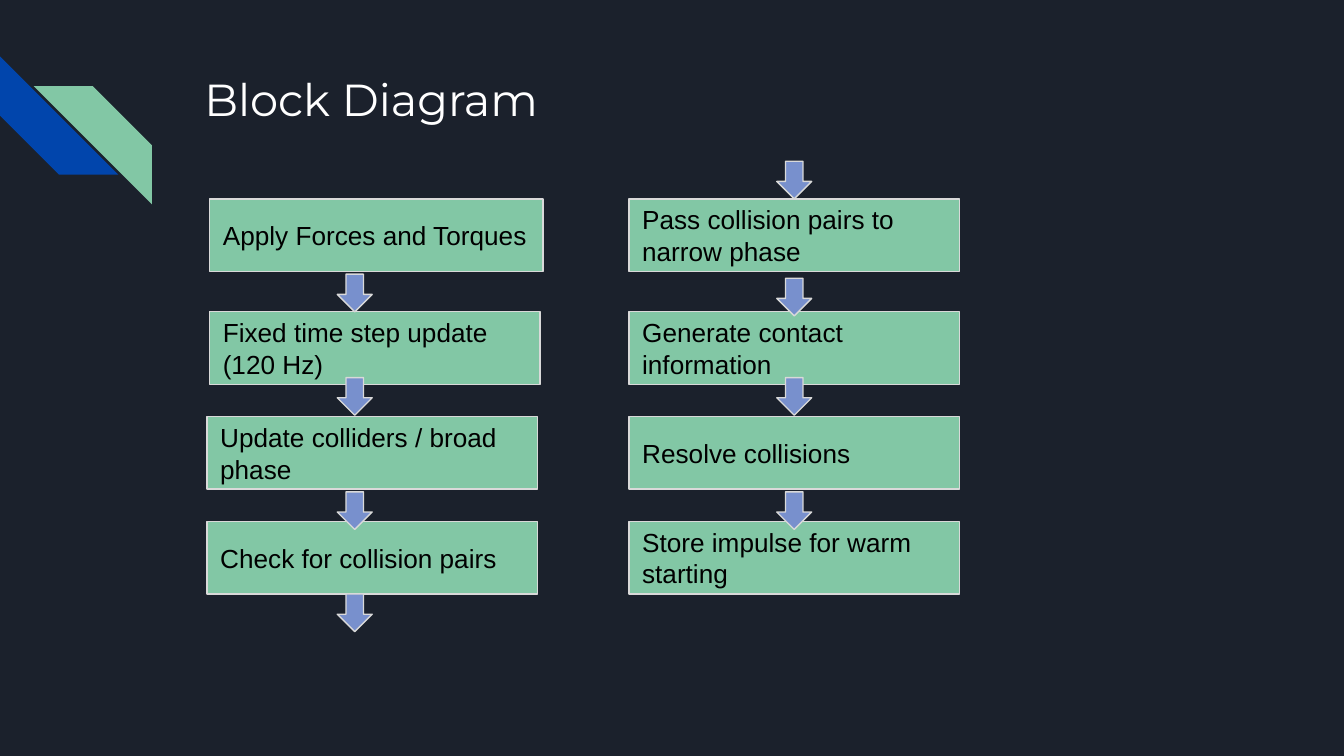
from pptx import Presentation
from pptx.dml.color import RGBColor
from pptx.enum.shapes import MSO_SHAPE as Shape
from pptx.enum.text import MSO_ANCHOR as Anchor, PP_ALIGN as Align
from pptx.util import Inches, Pt

GREEN, BLUE, ARROW_BLUE = "82C7A5", "0145AC", "7890CD"
BORDER, BACKGROUND = "D9D9D9", "1B212C"
ROW_TOPS = [1.48, 2.32, 3.10, 3.88]
STEP_WIDTH, STEP_HEIGHT = 2.46, 0.54
ARROW_WIDTH, ARROW_HEIGHT = 0.26, 0.28


def color(hex_text):
    return RGBColor.from_string(hex_text)


def format_text(frame, font_name, size, hex_text, anchor):
    frame.word_wrap = True
    frame.vertical_anchor = anchor
    frame.margin_left = frame.margin_right = Inches(0.1)
    frame.margin_top = frame.margin_bottom = Inches(0.1)
    for para in frame.paragraphs:
        para.alignment = Align.LEFT
        for span in para.runs:
            span.font.name = font_name
            span.font.size = Pt(size)
            span.font.color.rgb = color(hex_text)


def add_block(page, kind, left, top, width, height, fill, border=None):
    block = page.shapes.add_shape(
        kind, Inches(left), Inches(top), Inches(width), Inches(height))
    block.shadow.inherit = False
    block.fill.solid()
    block.fill.fore_color.rgb = color(fill)
    if border:
        block.line.color.rgb = color(border)
        block.line.width = Pt(0.75)
    else:
        block.line.fill.background()
    return block


def add_corner_stripes(page, left, top, size):
    for dx, dy, turn, fill in [(0, 0, 270, BLUE), (0.25, 0.22, 90, GREEN)]:
        stripe = add_block(page, Shape.DIAGONAL_STRIPE,
                           left + dx, top + dy, size, size, fill)
        stripe.rotation = turn


def add_title(page, left, top, width, height):
    title = page.shapes.title
    title.left, title.top = Inches(left), Inches(top)
    title.width, title.height = Inches(width), Inches(height)
    title.text_frame.text = "Block Diagram"
    format_text(title.text_frame, "Montserrat", 24, "FFFFFF", Anchor.TOP)


def add_steps(page, left, steps):
    """Stack the steps; each has its text, a left shift and extra width."""
    for top, (text, shift, extra) in zip(ROW_TOPS, steps):
        step = add_block(page, Shape.RECTANGLE, left + shift, top,
                         STEP_WIDTH + extra, STEP_HEIGHT, GREEN, BORDER)
        step.text_frame.text = text
        format_text(step.text_frame, "Arial", 14, "000000", Anchor.MIDDLE)


def add_arrows(page, left, tops):
    for top in tops:
        add_block(page, Shape.DOWN_ARROW, left, top,
                  ARROW_WIDTH, ARROW_HEIGHT, ARROW_BLUE, BORDER)


def main():
    # Widescreen page, 16:9
    deck = Presentation()
    deck.slide_width = Inches(10)
    deck.slide_height = Inches(10 * 9 / 16)
    page = deck.slides.add_slide(deck.slide_layouts[5])
    page.background.fill.solid()
    page.background.fill.fore_color.rgb = color(BACKGROUND)

    add_corner_stripes(page, 0, 0.42, 0.88)
    add_title(page, 1.42, 0.43, 7.7, 1)

    # Left and right columns of the flow
    add_steps(page, 1.54, [
        ("Apply Forces and Torques", 0.02, 0.02),
        ("Fixed time step update (120 Hz)", 0.02, 0),
        ("Update colliders / broad phase", 0, 0),
        ("Check for collision pairs", 0, 0),
    ])
    add_steps(page, 4.68, [
        ("Pass collision pairs to narrow phase", 0, 0),
        ("Generate contact information", 0, 0),
        ("Resolve collisions", 0, 0),
        ("Store impulse for warm starting", 0, 0),
    ])

    # Arrows lie over the steps
    add_arrows(page, 2.51, [2.04, 2.81, 3.66, 4.42])
    add_arrows(page, 5.78, [1.20, 2.07, 2.81, 3.66])

    deck.save("out.pptx")


if __name__ == "__main__":
    main()
